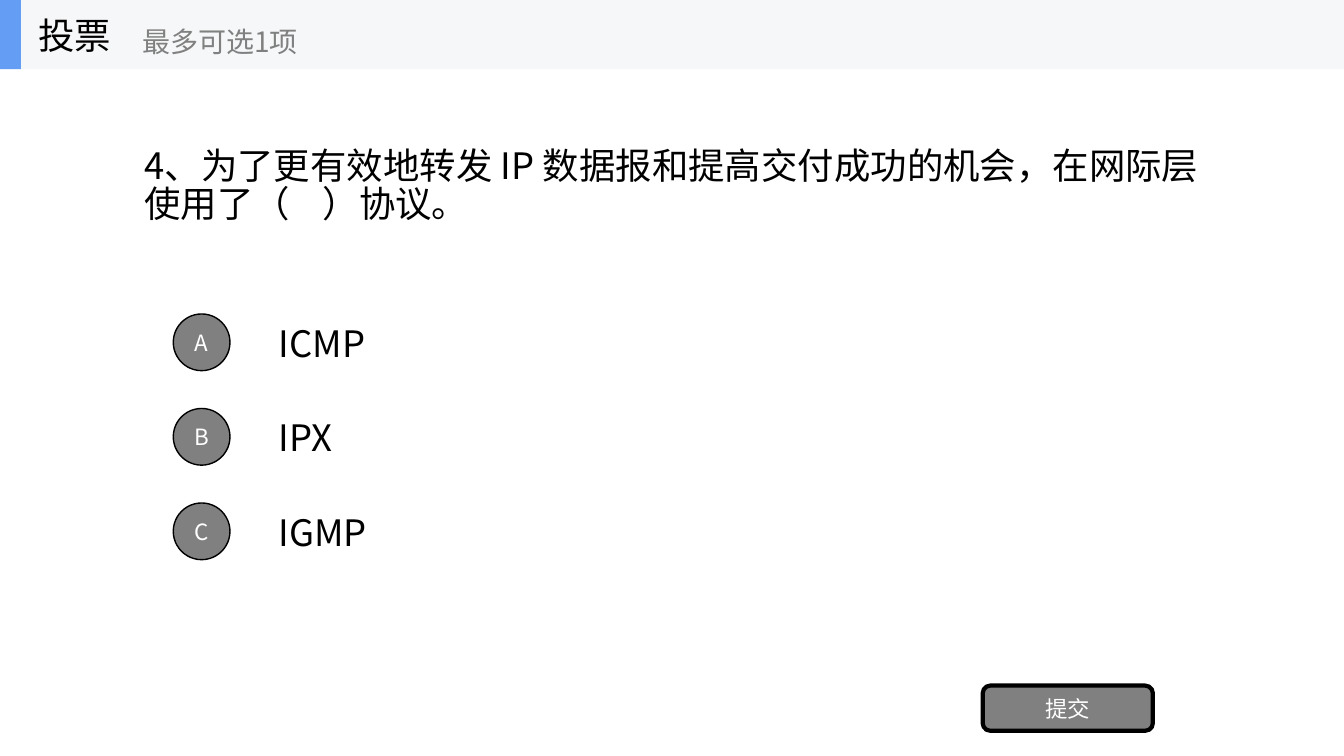
from dataclasses import dataclass

from lxml import etree
from pptx import Presentation
from pptx.dml.color import RGBColor
from pptx.enum.shapes import MSO_SHAPE
from pptx.enum.text import MSO_ANCHOR, MSO_AUTO_SIZE, PP_ALIGN
from pptx.oxml.ns import qn
from pptx.util import Emu, Pt

PX = 9525
RECT, OVAL, ROUND = MSO_SHAPE.RECTANGLE, MSO_SHAPE.OVAL, MSO_SHAPE.ROUNDED_RECTANGLE
MIDDLE, NO_FIT = MSO_ANCHOR.MIDDLE, MSO_AUTO_SIZE.NONE
LEFT, CENTER = PP_ALIGN.LEFT, PP_ALIGN.CENTER
TITLE_ONLY = 5


@dataclass(frozen=True)
class Theme:
    font: str = "Noto Sans CJK SC"
    ink: str = "000000"
    paper: str = "FFFFFF"
    grey: str = "808080"
    band: str = "F6F7F8"
    accent: str = "639EF4"
    main: int = 26
    hint: int = 20
    label: int = 16


THEME = Theme()


def px(*values):
    return [Emu(v * PX) for v in values]


def write(sp, text, size, color, align=LEFT, wrap=True, spacing=None):
    tf = sp.text_frame
    frame = {"word_wrap": wrap, "auto_size": NO_FIT, "vertical_anchor": MIDDLE}
    for name, value in frame.items():
        setattr(tf, name, value)
    p = tf.paragraphs[0]
    p.alignment = align
    if spacing:
        p.line_spacing = spacing
    r = p.add_run()
    r.text = text
    for name, value in {"size": Pt(size), "name": THEME.font, "bold": False}.items():
        setattr(r.font, name, value)
    r.font.color.rgb = RGBColor.from_string(color)
    etree.SubElement(r.font._element, qn("a:ea"), typeface=THEME.font)


def add_text(s, box, text, size, color, wrap=True):
    sp = s.shapes.add_textbox(*px(*box))
    write(sp, text, size, color, wrap=wrap)


def add_block(s, kind, box, fill, line=0):
    sp = s.shapes.add_shape(kind, *px(*box))
    sp.shadow.inherit = False
    sp.fill.solid()
    sp.fill.fore_color.rgb = RGBColor.from_string(fill)
    if line:
        sp.line.color.rgb = RGBColor.from_string(THEME.ink)
        sp.line.width = Pt(line)
    else:
        sp.line.fill.background()
    return sp


def add_question(s, box, text):
    sp = s.shapes.title
    sp.left, sp.top, sp.width, sp.height = px(*box)
    write(sp, text, THEME.main, THEME.ink, spacing=0.85)


def add_options(s, box, options, pitch=90, row=67, circle=54):
    x, y, w, h = box
    indent = 91
    for i, text in enumerate(options):
        top = y + i * pitch
        add_text(s, (x + indent, top, w - indent, row), text, THEME.main, THEME.ink)
        sp = add_block(s, OVAL, (x, top + (row - circle) // 2, circle, circle), THEME.grey, 1)
        write(sp, chr(ord("A") + i), THEME.label, THEME.paper, CENTER)


def add_button(s, box, text):
    sp = add_block(s, ROUND, box, THEME.grey, 3)
    write(sp, text, THEME.label, THEME.paper, CENTER)


def add_header(s, box, heading, hint):
    x, y, w, h = box
    add_block(s, RECT, box, THEME.band)
    add_block(s, RECT, (x, y, 20, h), THEME.accent)
    add_text(s, (x + 27, y, 200, h), heading, THEME.main, THEME.ink, wrap=False)
    add_text(s, (x + 126, y + 12, 240, h - 12), hint, THEME.hint, THEME.grey, wrap=False)


def main():
    prs = Presentation()
    prs.slide_width, prs.slide_height = px(1280, 720)
    s = prs.slides.add_slide(prs.slide_layouts[TITLE_ONLY])
    add_question(s, (128, 66, 1024, 225),
                 "4、为了更有效地转发 IP 数据报和提高交付成功的机会，在网际层使用了（    ）协议。")
    add_options(s, (165, 293, 987, 247), ["ICMP", "IPX", "IGMP"])
    add_button(s, (936, 653, 162, 43), "提交")
    add_header(s, (0, 0, 1280, 66), "投票", "最多可选1项")
    prs.save("out.pptx")


if __name__ == "__main__":
    main()
